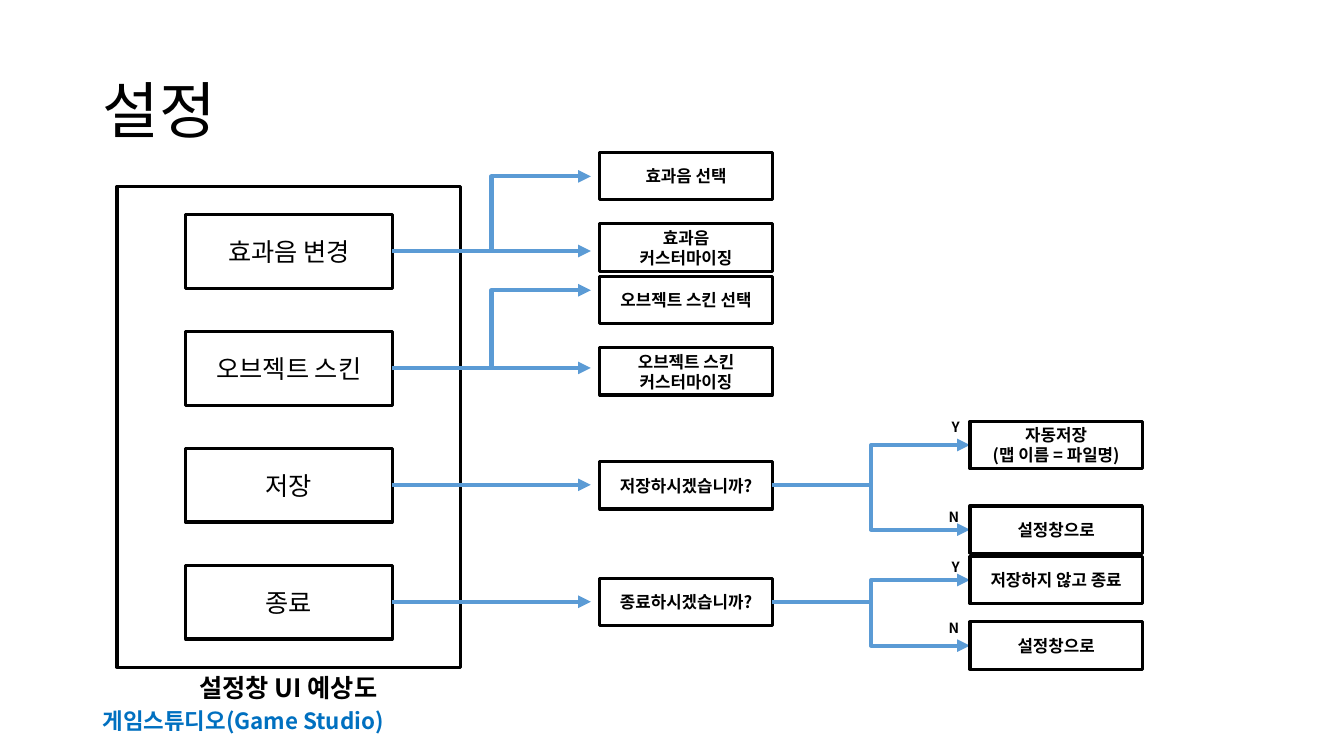
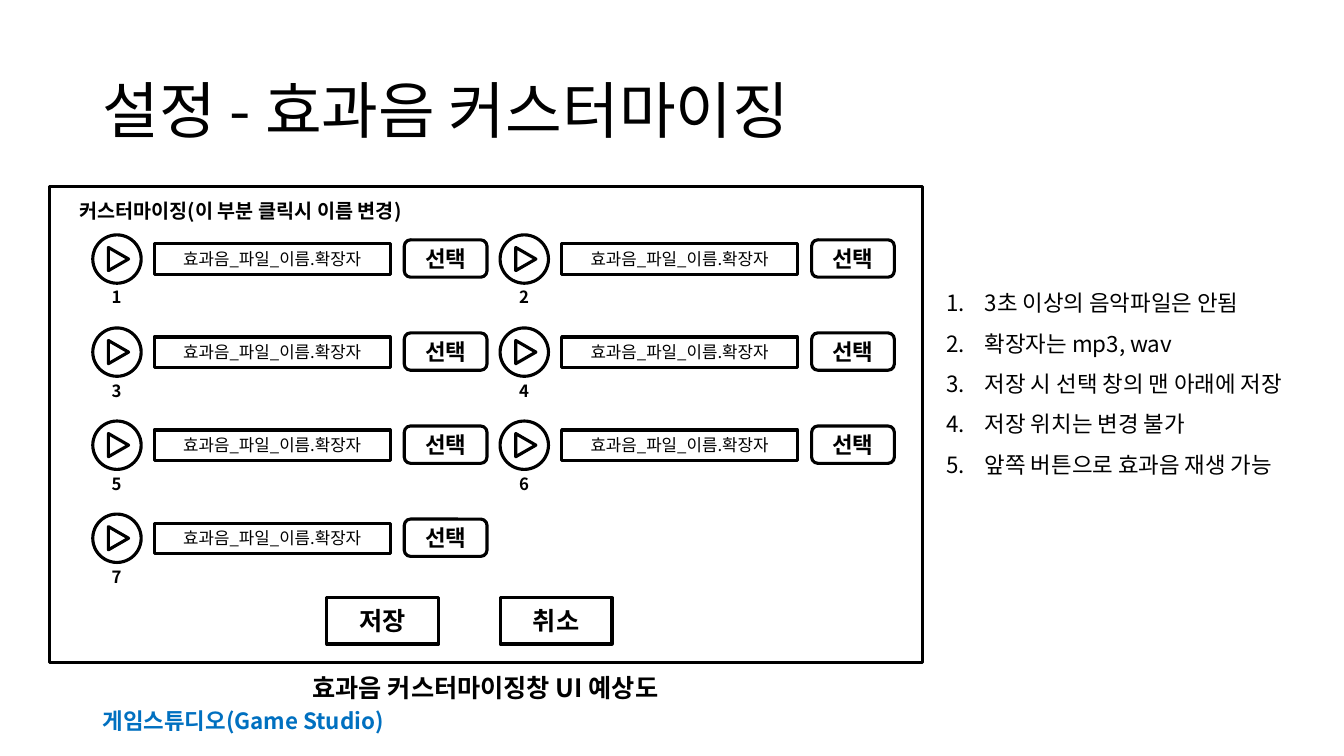
from lxml import etree
from pptx import Presentation
from pptx.dml.color import RGBColor
from pptx.enum.shapes import MSO_CONNECTOR, MSO_SHAPE
from pptx.enum.text import MSO_ANCHOR, MSO_AUTO_SIZE, PP_ALIGN
from pptx.oxml.ns import qn
from pptx.util import Inches, Pt

BLACK = RGBColor(0x00, 0x00, 0x00)
WHITE = RGBColor(0xFF, 0xFF, 0xFF)
BLUE = RGBColor(0x00, 0x70, 0xC0)
ARROW = RGBColor(0x5B, 0x9B, 0xD5)
FONT = "Noto Sans CJK KR"
STUDIO = "게임스튜디오(Game Studio)"

TITLE = {"size": Pt(44)}
FOOTER = {"size": Pt(16), "bold": True}
CAPTION = {"size": Pt(18), "bold": True}
MENU = {"size": Pt(18)}
STEP = {"size": Pt(12), "bold": True}
ANSWER = {"size": Pt(10), "bold": True}
FILE = {"size": Pt(12)}
HEADING = {"size": Pt(14), "bold": True}
SELECT = {"size": Pt(16), "bold": True}
RULE = {"size": Pt(16)}

STEP_W, STEP_H = 1.71, 0.47

# Menu entry, then its steps: (top, arrow end or None for a straight arrow, text)
MENU_STEPS = [
    ("효과음 변경", [(-0.34, -0.1, "효과음 선택"),
                (0.37, None, "효과음\n커스터마이징")]),
    ("오브젝트 스킨", [(0.89, 1.03, "오브젝트 스킨 선택"),
                 (1.6, None, "오브젝트 스킨\n커스터마이징")]),
    ("저장", [(2.73, None, "저장하시겠습니까?")]),
    ("종료", [(3.89, None, "종료하시겠습니까?")]),
]
# Menu row, answer, left and top of its label, top of the result, result
RESULTS = [
    (2, "Y", 8.18, 2.25, 2.33, "자동저장\n(맵 이름 = 파일명)"),
    (2, "N", 8.15, 3.15, 3.17, "설정창으로"),
    (3, "Y", 8.18, 3.64, 3.67, "저장하지 않고 종료"),
    (3, "N", 8.15, 4.25, 4.32, "설정창으로"),
]
RULES = ["3초 이상의 음악파일은 안됨", "확장자는 mp3, wav", "저장 시 선택 창의 맨 아래에 저장",
         "저장 위치는 변경 불가", "앞쪽 버튼으로 효과음 재생 가능"]


def write(tf, text, fmt, color=BLACK, align=PP_ALIGN.LEFT, spacing=None):
    """Fill a text frame, one paragraph a line."""
    for i, line in enumerate(text.split("\n")):
        p = tf.paragraphs[0] if i == 0 else tf.add_paragraph()
        p.alignment = align
        p.line_spacing = spacing
        r = p.add_run()
        r.text = line
        for name, value in fmt.items():
            setattr(r.font, name, value)
        r.font.color.rgb = color
        r.font.name = FONT
        etree.SubElement(r._r.get_or_add_rPr(), qn("a:ea"), typeface=FONT)


def add_text(s, box, text, fmt, wrap=False, anchor=MSO_ANCHOR.TOP, **style):
    """Add a text box that wraps, or one that grows with its text."""
    tf = s.shapes.add_textbox(*map(Inches, box)).text_frame
    tf.word_wrap = wrap
    tf.auto_size = MSO_AUTO_SIZE.NONE if wrap else MSO_AUTO_SIZE.SHAPE_TO_FIT_TEXT
    tf.vertical_anchor = anchor
    write(tf, text, fmt, **style)
    return tf


def add_box(parent, box, text="", fmt=None, kind=MSO_SHAPE.RECTANGLE):
    """Add a white, black-edged shape with centred text."""
    sp = parent.shapes.add_shape(kind, *map(Inches, box))
    sp.shadow.inherit = False
    sp.fill.solid()
    sp.fill.fore_color.rgb = WHITE
    sp.line.color.rgb = BLACK
    sp.line.width = Pt(2.25)
    if text:
        sp.text_frame.word_wrap = True
        sp.text_frame.vertical_anchor = MSO_ANCHOR.MIDDLE
        write(sp.text_frame, text, fmt, align=PP_ALIGN.CENTER)
    return sp


def add_arrow(s, x1, y1, x2, y2):
    """Add an arrow, bent when its ends differ in height."""
    kind = MSO_CONNECTOR.STRAIGHT if y1 == y2 else MSO_CONNECTOR.ELBOW
    line = s.shapes.add_connector(kind, *map(Inches, (x1, y1, x2, y2)))
    line.line.color.rgb = ARROW
    line.line.width = Pt(3)
    etree.SubElement(line.line._get_or_add_ln(), qn("a:tailEnd"), type="triangle")
    etree.SubElement(line._element.spPr, qn("a:effectLst"))


def add_slide(prs, title):
    """Add a blank slide with the shared title and footer."""
    s = prs.slides.add_slide(prs.slide_layouts[6])
    add_text(s, (0.92, 0.4, 11.5, 1.45), title, TITLE, wrap=True,
             anchor=MSO_ANCHOR.MIDDLE, spacing=0.9)
    add_text(s, (0.92, 6.95, 3, 0.4), STUDIO, FOOTER, wrap=True,
             anchor=MSO_ANCHOR.MIDDLE, color=BLUE)
    return s


def menu_flow(s, box):
    """Draw the settings panel and the steps that lead out of it."""
    left, top, _, _ = box
    add_box(s, box)
    centers = [top + 0.64 + 1.16 * i for i in range(len(MENU_STEPS))]
    for (entry, steps), y in zip(MENU_STEPS, centers):
        add_box(s, (left + 0.68, y - 0.36, 2.05, 0.73), entry, MENU)
        for step_top, end, text in steps:
            end_y = y if end is None else top + end
            add_arrow(s, left + 2.73, y, left + 4.7, end_y)
            add_box(s, (left + 4.79, top + step_top, STEP_W, STEP_H), text, STEP)
    for row, answer, label_x, label_y, result_top, text in RESULTS:
        y = top + result_top
        add_arrow(s, left + 6.5, centers[row], left + 8.46, y + STEP_H / 2)
        add_text(s, (left + label_x, top + label_y, 0.3, 0.27), answer, ANSWER)
        add_box(s, (left + 8.46, y, STEP_W, STEP_H), text, STEP)


def sound_slot(s, left, top, number):
    """Draw one sound: play button, number, file name and select button."""
    play = s.shapes.add_group_shape()
    add_box(play, (left, top, 0.48, 0.48), kind=MSO_SHAPE.OVAL)
    add_box(play, (left + 0.14, top + 0.14, 0.23, 0.2),
            kind=MSO_SHAPE.ISOSCELES_TRIANGLE).rotation = 90
    add_text(s, (left + 0.09, top + 0.47, 0.3, 0.3), str(number), STEP)
    add_box(s, (left + 0.61, top + 0.09, 2.34, 0.3), "효과음_파일_이름.확장자", FILE)
    add_box(s, (left + 3.09, top + 0.05, 0.82, 0.37), "선택", SELECT,
            MSO_SHAPE.ROUNDED_RECTANGLE)


def sound_panel(s, box):
    """Draw the customizing window with its seven sounds, two a row."""
    left, top, _, _ = box
    add_box(s, box)
    add_text(s, (left + 0.2, top + 0.07, 3.76, 0.34),
             "커스터마이징(이 부분 클릭시 이름 변경)", HEADING)
    for i in range(7):
        row, col = divmod(i, 2)
        sound_slot(s, left + 0.43 + 4.04 * col, top + 0.48 + 2.77 * row / 3, i + 1)
    for i, text in enumerate(("저장", "취소")):
        add_box(s, (left + 2.75 + 1.72 * i, top + 4.08, 1.11, 0.46), text, CAPTION)


def rule_list(s, box):
    """Write the numbered rules."""
    tf = add_text(s, box, "\n".join(RULES), RULE, spacing=1.5)
    for p in tf.paragraphs:
        pPr = p._p.get_or_add_pPr()
        pPr.set("marL", str(Inches(0.38)))
        pPr.set("indent", str(-Inches(0.38)))
        etree.SubElement(pPr, qn("a:buAutoNum"), type="arabicPeriod")


def caption(s, box, text):
    """Write the centred caption under a panel."""
    add_text(s, box, text, CAPTION, align=PP_ALIGN.CENTER)


prs = Presentation()
prs.slide_width, prs.slide_height = Inches(13.33), Inches(7.5)

s = add_slide(prs, "설정")
menu_flow(s, (1.16, 1.85, 3.41, 4.77))
caption(s, (1.79, 6.62, 2.14, 0.4), "설정창 UI 예상도")

s = add_slide(prs, "설정 - 효과음 커스터마이징")
sound_panel(s, (0.49, 1.85, 8.66, 4.72))
rule_list(s, (9.29, 2.69, 3.97, 2.12))
caption(s, (2.81, 6.62, 4.01, 0.4), "효과음 커스터마이징창 UI 예상도")

prs.save("out.pptx")
